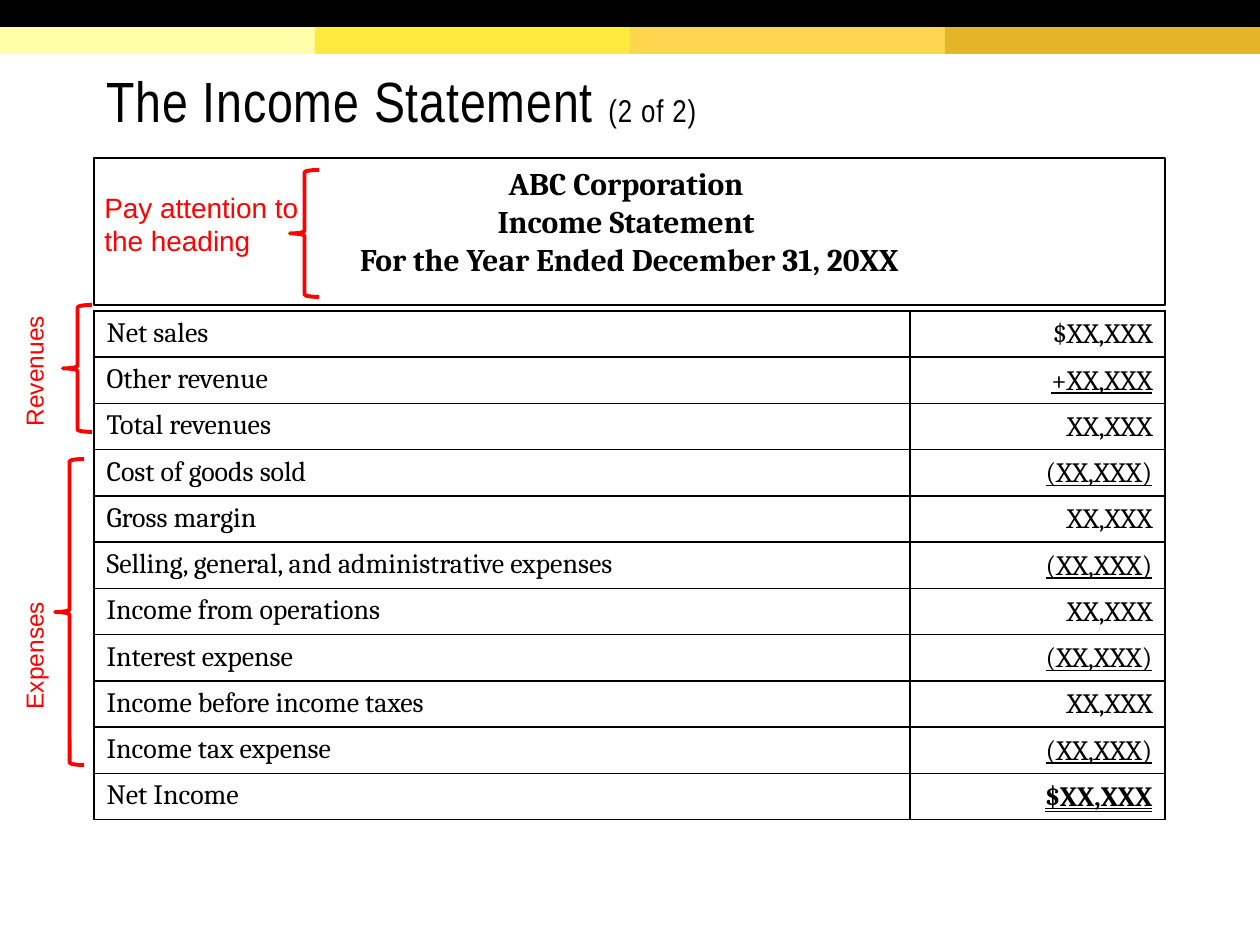
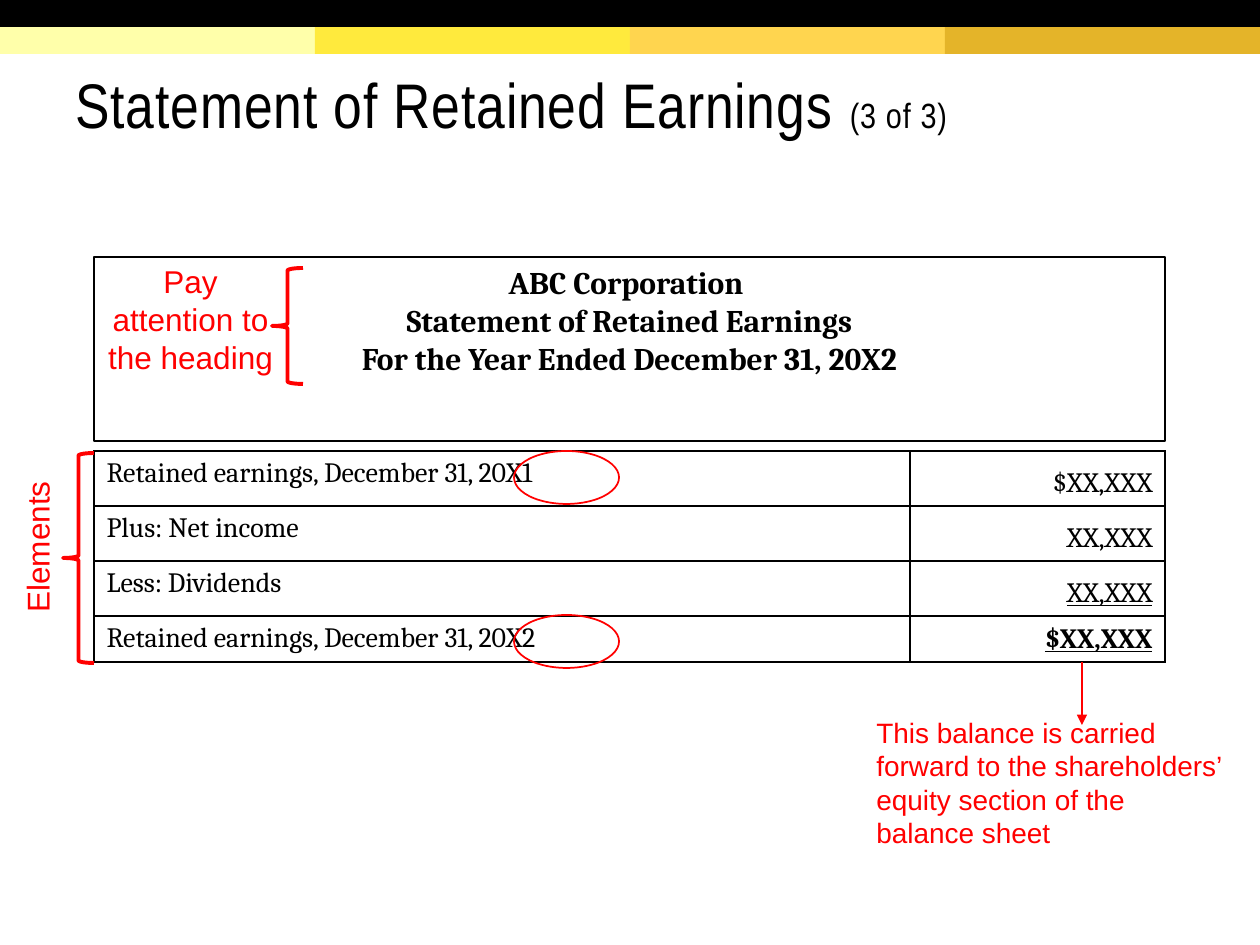
"""Build two slides on the income and retained earnings statements."""
from lxml.etree import SubElement
from pptx import Presentation
from pptx.dml.color import RGBColor
from pptx.enum.shapes import MSO_CONNECTOR, MSO_SHAPE
from pptx.enum.text import MSO_ANCHOR, MSO_UNDERLINE, PP_ALIGN
from pptx.oxml.ns import qn
from pptx.util import Emu, Pt

INK, RED = "000000", "FF0000"
BANDS = ["FFFFAA", "FFEA3D", "FFD54F", "E4B429"]
BAND = 27
LEFT, WIDE, LABEL = 94, 1071, 816
MID, START, END = PP_ALIGN.CENTER, PP_ALIGN.LEFT, PP_ALIGN.RIGHT
ONE, TWO = MSO_UNDERLINE.SINGLE_LINE, MSO_UNDERLINE.DOUBLE_LINE
SUM, LESS = "XX,XXX", "(XX,XXX)"
HINT = "Pay attention to the heading"

SLIDES = [
    {
        "title": ("The Income Statement ", 32.4, "(2 of 2)", 18, (94, 63, 1134, 78)),
        "head": (["ABC Corporation ", "Income Statement ",
                  "For the Year Ended December 31, 20XX"], 158, 147),
        "top": 311,
        "rows": [
            ("Net sales", "$XX,XXX", None, 44),
            ("Other revenue", "+XX,XXX", ONE, 44),
            ("Total revenues", SUM, None, 44),
            ("Cost of goods sold", LESS, ONE, 44),
            ("Gross margin", SUM, None, 44),
            ("Selling, general, and administrative expenses", LESS, ONE, 44),
            ("Income from operations", SUM, None, 44),
            ("Interest expense", LESS, ONE, 44),
            ("Income before income taxes", SUM, None, 44),
            ("Income tax expense", LESS, ONE, 44),
            ("Net Income", "$XX,XXX", TWO, 44),
        ],
        "notes": [
            (HINT, 16, START, 0, (92, 184, 227, 81)),
            ("Revenues", 14, START, 270, (-45, 338, 159, 43)),
            ("Expenses", 14, START, 270, (-62, 604, 193, 43)),
        ],
        "braces": [(290, 170, 29, 127), (63, 305, 29, 127), (55, 459, 29, 306)],
        "rings": [],
        "arrows": [],
    },
    {
        "title": ("Statement of Retained Earnings ", 36, "(3 of 3)", 20, (63, 30, 1134, 151)),
        "head": (["ABC Corporation ", "Statement of Retained Earnings",
                  "For the Year Ended December 31, 20X2"], 257, 184),
        "top": 451,
        "rows": [
            ("Retained earnings, December 31, 20X1", "$XX,XXX", None, 55),
            ("Plus: Net income", SUM, None, 55),
            ("Less: Dividends", SUM, ONE, 55),
            ("Retained earnings, December 31, 20X2", "$XX,XXX", ONE, 44),
        ],
        "notes": [
            (HINT, 18, MID, 0, (94, 256, 193, 127)),
            ("Elements", 18, MID, 270, (-58, 522, 190, 50)),
            ("This balance is carried forward to the shareholders’ equity "
             "section of the balance sheet", 16, START, 0, (864, 709, 375, 149)),
        ],
        "braces": [(272, 268, 31, 116), (63, 453, 31, 210)],
        "rings": [(514, 615, 105, 53), (514, 451, 105, 53)],
        "arrows": [(1082, 662, 1082, 725)],
    },
]


def px(*nums):
    return [Emu(round(n * 914400 / 126)) for n in nums]


def hue(code):
    return RGBColor.from_string(code)


def put(para, text, size, face, tint=INK, bold=False, under=None):
    run = para.add_run()
    run.text = text
    font = run.font
    font.size, font.name, font.bold = Pt(size), face, bold
    font.color.rgb = hue(tint)
    if under:
        font.underline = under
    return run


def form(slide, kind, spot, fill=None, line=None, width=1):
    item = slide.shapes.add_shape(kind, *px(*spot))
    item.shadow.inherit = False
    if fill:
        item.fill.solid()
        item.fill.fore_color.rgb = hue(fill)
    else:
        item.fill.background()
    if line:
        item.line.color.rgb = hue(line)
        item.line.width = Pt(width)
    else:
        item.line.fill.background()
    return item


def box(slide, spot):
    item = slide.shapes.add_textbox(*px(*spot))
    item.text_frame.word_wrap = True
    return item


def bands(slide):
    step = 1260 // len(BANDS)
    for i, tint in enumerate(BANDS):
        form(slide, MSO_SHAPE.RECTANGLE, (i * step, BAND, step, BAND), tint)
    form(slide, MSO_SHAPE.RECTANGLE, (0, 0, 1260, BAND), INK)


def title(slide, name, size, part, small, spot):
    frame = box(slide, spot).text_frame
    frame.vertical_anchor = MSO_ANCHOR.MIDDLE
    frame.margin_top, = px(13)
    para = frame.paragraphs[0]
    para.line_spacing = 0.85
    for text, pts in ((name, size), (part, small)):
        run = put(para, text, pts, "Arial Narrow")
        run.font._element.set("spc", "50")


def head(slide, lines, top, high):
    frame = form(slide, MSO_SHAPE.RECTANGLE, (LEFT, top, WIDE, high), line=INK).text_frame
    frame.word_wrap = True
    frame.vertical_anchor = MSO_ANCHOR.TOP
    for i, text in enumerate(lines):
        para = frame.add_paragraph() if i else frame.paragraphs[0]
        para.alignment = MID
        put(para, text, 18, "Cambria", bold=True)


def edge(cell):
    props = cell._tc.get_or_add_tcPr()
    for side in ("lnL", "lnR", "lnT", "lnB"):
        line = SubElement(props, qn(f"a:{side}"), w=str(Pt(1)))
        fill = SubElement(line, qn("a:solidFill"))
        SubElement(fill, qn("a:srgbClr"), val=INK)
    cell.fill.background()


def grid(slide, top, rows):
    high = sum(row[-1] for row in rows)
    table = slide.shapes.add_table(len(rows), 2, *px(LEFT, top, WIDE, high)).table
    table.first_row = table.horz_banding = False
    for col, wide in zip(table.columns, px(LABEL, WIDE - LABEL)):
        col.width = wide
    for i, (label, value, under, tall) in enumerate(rows):
        table.rows[i].height, = px(tall)
        name, cost = table.rows[i].cells
        put(name.text_frame.paragraphs[0], label, 16, "Cambria")
        para = cost.text_frame.paragraphs[0]
        para.alignment = END
        put(para, value, 16, "Cambria", bold=i == len(rows) - 1, under=under)
        for cell in (name, cost):
            edge(cell)
        cost.vertical_anchor = MSO_ANCHOR.BOTTOM


def note(slide, text, size, align, turn, spot):
    item = box(slide, spot)
    item.rotation = turn
    para = item.text_frame.paragraphs[0]
    para.alignment = align
    put(para, text, size, "Arial", RED)


def arrow(slide, ends):
    item = slide.shapes.add_connector(MSO_CONNECTOR.STRAIGHT, *px(*ends))
    item.line.color.rgb = hue(RED)
    item.line.width = Pt(1.5)
    SubElement(item.line._get_or_add_ln(), qn("a:tailEnd"), type="triangle")
    SubElement(item._element.spPr, qn("a:effectLst"))


def main():
    deck = Presentation()
    deck.slide_width, deck.slide_height = px(1260, 945)
    for data in SLIDES:
        slide = deck.slides.add_slide(deck.slide_layouts[6])
        bands(slide)
        title(slide, *data["title"])
        head(slide, *data["head"])
        grid(slide, data["top"], data["rows"])
        for item in data["notes"]:
            note(slide, *item)
        for spot in data["braces"]:
            form(slide, MSO_SHAPE.LEFT_BRACE, spot, line=RED, width=2.25)
        for spot in data["rings"]:
            form(slide, MSO_SHAPE.OVAL, spot, line=RED)
        for ends in data["arrows"]:
            arrow(slide, ends)
    deck.save("out.pptx")


if __name__ == "__main__":
    main()
